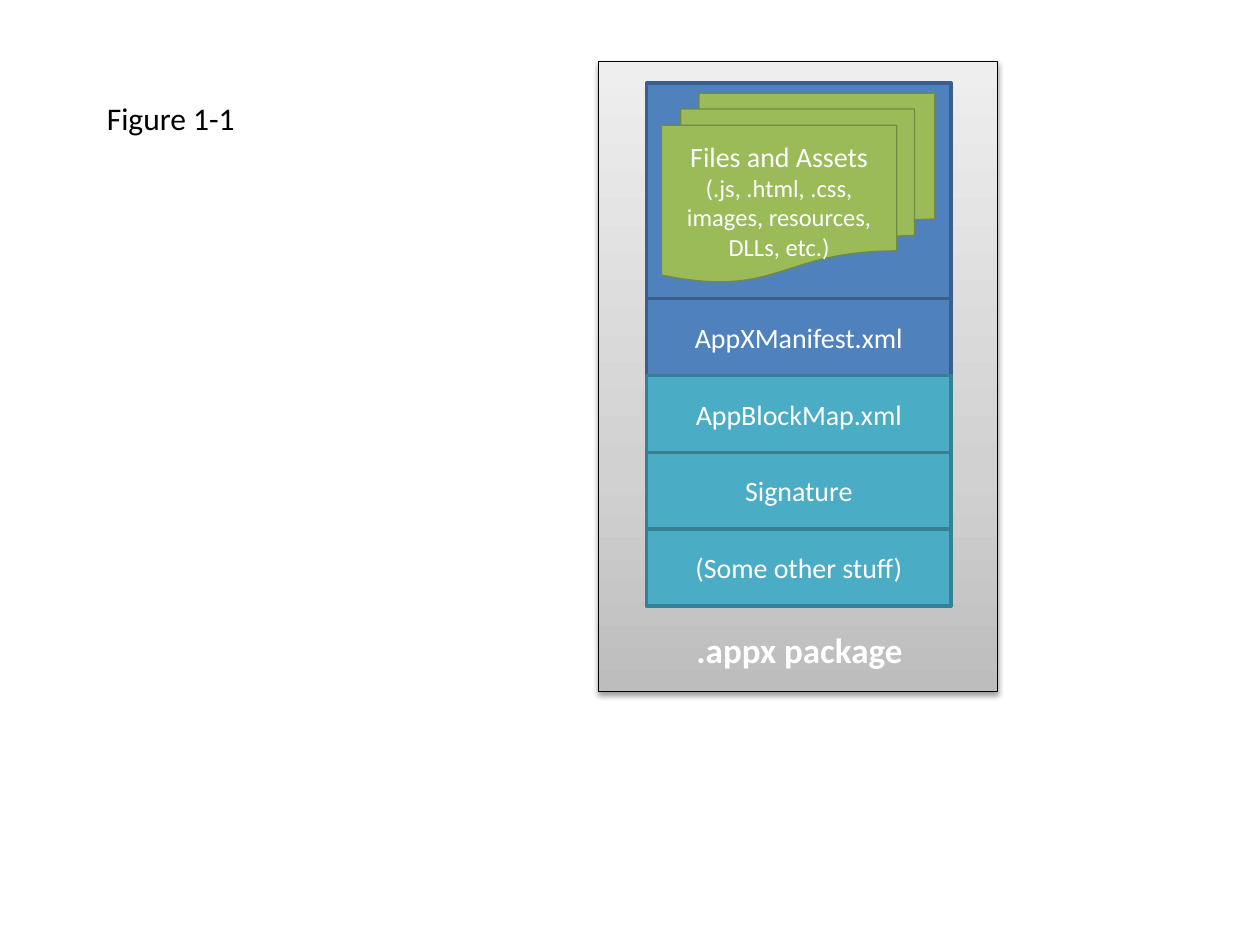
from copy import deepcopy

from lxml.etree import SubElement
from pptx import Presentation
from pptx.dml.color import RGBColor
from pptx.enum.shapes import MSO_SHAPE as Shape
from pptx.enum.text import MSO_ANCHOR as Anchor, MSO_AUTO_SIZE as AutoSize, PP_ALIGN as Align
from pptx.oxml.ns import qn
from pptx.util import Inches, Pt

WHITE, BLACK = "FFFFFF", "000000"
BLUE, BLUE_EDGE = "4F81BD", "3A5F8C"
TEAL, TEAL_EDGE = "4BACC6", "377F92"
GREEN, GREEN_EDGE = "9BBB59", "738A42"

STACK_LEFT, STACK_TOP, STACK_WIDTH = 5.13, 2.37, 2.42
ROW_HEIGHT = 0.61
ROWS = [
    ("AppXManifest.xml", BLUE, BLUE_EDGE),
    ("AppBlockMap.xml", TEAL, TEAL_EDGE),
    ("Signature", TEAL, TEAL_EDGE),
    ("(Some other stuff)", TEAL, TEAL_EDGE),
]


def color(value):
    return RGBColor.from_string(value)


def add_span(para, text, size, ink=WHITE, bold=False):
    span = para.add_run()
    span.text = text
    for name, value in {"name": "Calibri", "size": Pt(size), "bold": bold}.items():
        setattr(span.font, name, value)
    span.font.color.rgb = color(ink)


def add_block(page, kind, bounds, fill, edge, edge_width=2):
    block = page.shapes.add_shape(kind, *map(Inches, bounds))
    block.shadow.inherit = False
    block.fill.solid()
    block.fill.fore_color.rgb = color(fill)
    block.line.color.rgb = color(edge)
    block.line.width = Pt(edge_width)
    block.text_frame.vertical_anchor = Anchor.MIDDLE
    block.text_frame.paragraphs[0].alignment = Align.CENTER
    return block


def add_label(page, bounds, text, size, ink, bold=False, align=Align.LEFT, **frame_format):
    box = page.shapes.add_textbox(*map(Inches, bounds))
    for name, value in {"auto_size": AutoSize.SHAPE_TO_FIT_TEXT, **frame_format}.items():
        setattr(box.text_frame, name, value)
    para = box.text_frame.paragraphs[0]
    para.alignment = align
    add_span(para, text, size, ink, bold)


def shade_upward(block, stops):
    """Fill with a gradient that runs from bottom to top."""
    block.fill.gradient()
    block.fill.gradient_angle = 90
    stop_list = next(block._element.spPr.iter(qn("a:gsLst")))
    while len(stop_list) < len(stops):
        stop_list.append(deepcopy(stop_list[0]))
    for stop, (position, value) in zip(block.fill.gradient_stops, stops):
        stop.position = position
        stop.color.rgb = color(value)


def drop_shadow(block):
    effects = block._element.spPr.find(qn("a:effectLst"))
    shadow = SubElement(effects, qn("a:outerShdw"), blurRad=str(Pt(3.1)),
                        dist=str(Pt(1.6)), dir="5400000", rotWithShape="0")
    ink = SubElement(shadow, qn("a:srgbClr"), val=BLACK)
    SubElement(ink, qn("a:alpha"), val="38000")


def add_package(page):
    package = add_block(page, Shape.RECTANGLE, (4.75, 0.49, 3.17, 5), WHITE, BLACK, 0.75)
    shade_upward(package, [(0, "BDBDBD"), (0.35, "D1D1D1"), (1, "EEEEEE")])
    drop_shadow(package)


def add_rows(page):
    for index, (name, fill, edge) in enumerate(ROWS):
        bounds = (STACK_LEFT, STACK_TOP + index * ROW_HEIGHT, STACK_WIDTH, ROW_HEIGHT)
        row = add_block(page, Shape.RECTANGLE, bounds, fill, edge)
        add_span(row.text_frame.paragraphs[0], name, 16)


def add_files(page):
    files = add_block(page, Shape.FLOWCHART_MULTIDOCUMENT, (5.25, 0.74, 2.17, 1.5),
                      GREEN, GREEN_EDGE, 0.75)
    para = files.text_frame.paragraphs[0]
    add_span(para, "Files and Assets", 16)
    para.add_line_break()
    add_span(para, "(.js, .html, .css, images, resources, DLLs, etc.)", 14)


def main():
    deck = Presentation()
    deck.slide_width, deck.slide_height = Inches(10), Inches(7.5)
    page = deck.slides.add_slide(deck.slide_layouts[6])

    add_package(page)
    add_rows(page)
    add_block(page, Shape.RECTANGLE, (STACK_LEFT, 0.66, STACK_WIDTH, 1.71), BLUE, BLUE_EDGE)
    no_margins = dict.fromkeys(("margin_left", "margin_top", "margin_right", "margin_bottom"), 0)
    add_label(page, (5.32, 4.99, 2.05, 0.34), ".appx package", 20, WHITE, bold=True,
              align=Align.CENTER, word_wrap=True, **no_margins)
    add_files(page)
    add_label(page, (0.75, 0.74, 1.23, 0.4), "Figure 1-1", 18, BLACK, word_wrap=False)

    deck.save("out.pptx")


if __name__ == "__main__":
    main()
